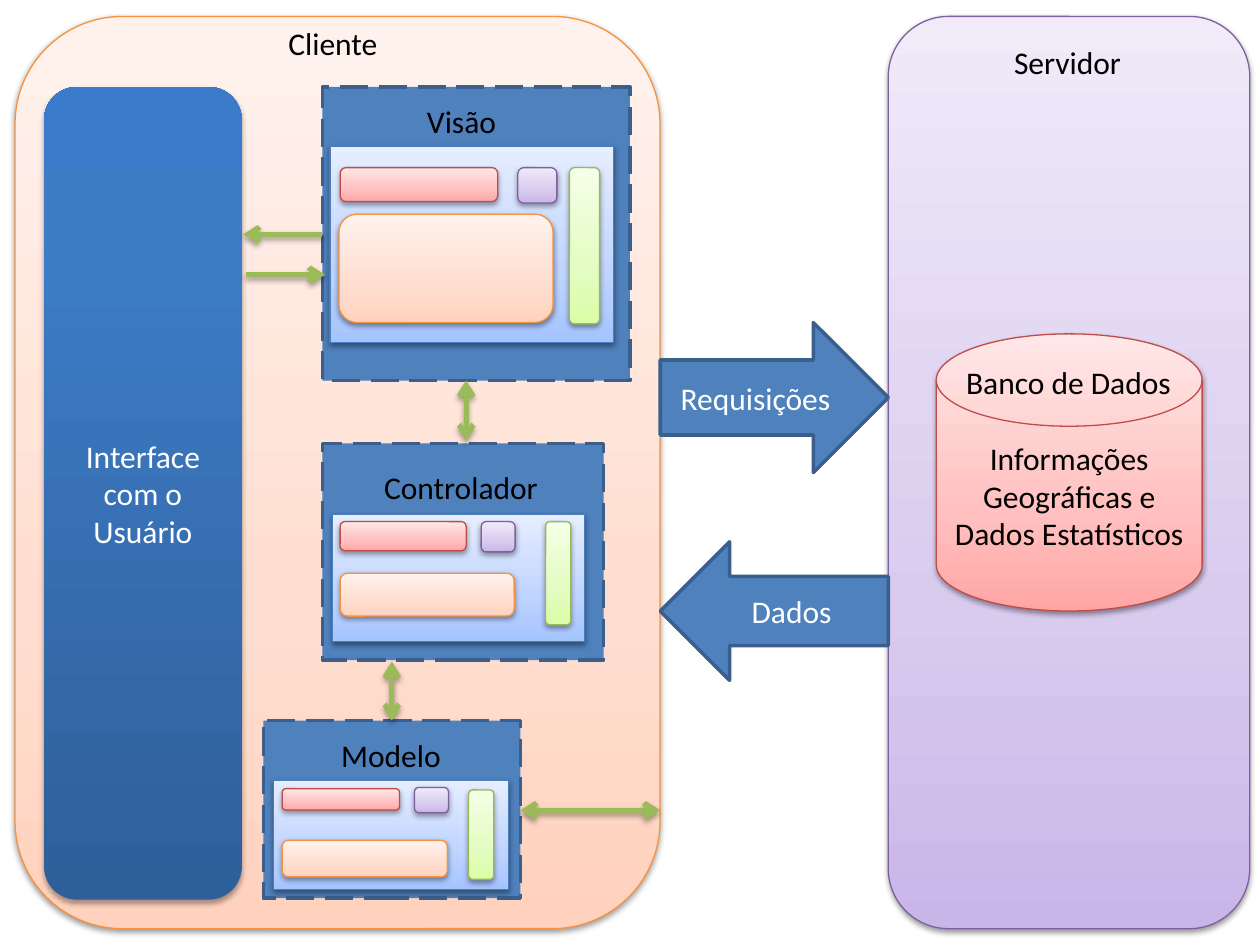
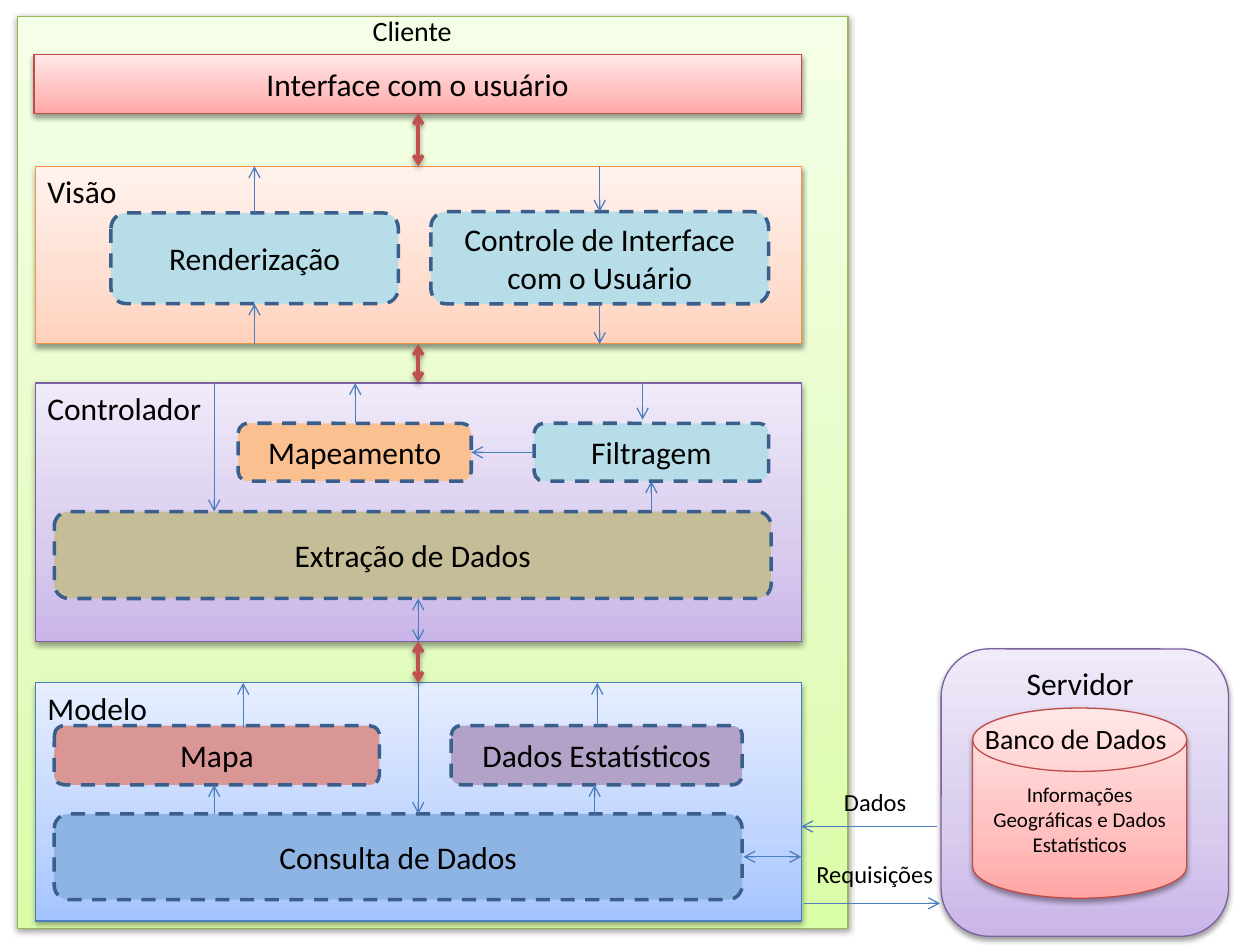
from copy import deepcopy

from pptx import Presentation, oxml
from pptx import util as u
from pptx.dml.color import RGBColor
from pptx.enum import dml, shapes, text
from pptx.oxml import ns

Pt = u.Pt
Geo = shapes.MSO_SHAPE


class Theme:
    font = "Calibri"
    body, caption, flow, detail = 18, 16, 14, 12
    black, white = "000000", "FFFFFF"
    blue, navy, thin_blue = "4F81BD", "3A5F8C", "4B7EBC"
    green_arrow, red_arrow = "9BBB59", "C0504D"
    aqua, rose, lilac = "B7DEE8", "D99694", "B3A2C7"
    sky, peach, khaki = "8EB4E3", "FAC090", "C4BD97"
    hairline, medium, thick = 0.75, 2, 3
    soft_shadow = (1.57, 38)
    deep_shadow = (1.81, 35)
    shadow_blur = 3.15
    orange_tint = (("FFD2BD", "FFDED0", "FFF2ED"), "F69240")
    purple_tint = (("C9B5E8", "D8CBEE", "F0EAF9"), "7D60A0")
    red_tint = (("FFA6A5", "FFC0BF", "FFE7E7"), "BF4C48")
    green_tint = (("DAFDA7", "E4FCC2", "F5FFE7"), "98B955")
    blue_tint = (("A4C4FF", "BFD4FF", "E6EEFF"), "4B7EBC")
    interface = (("2F5F99", "3D7CC7", "3A7CCB"), None)
    shadow_xml = (
        '<a:outerShdw %s blurRad="{}" dist="{}" dir="5400000" rotWithShape="0">'
        '<a:srgbClr val="000000"><a:alpha val="{}"/></a:srgbClr></a:outerShdw>'
        % ns.nsdecls("a")
    )


def box(slide, at, geometry=None, fill=None, words="", size=Theme.body,
        color=Theme.black, dash=None):
    place = [Pt(n) for n in at]
    if geometry is None:
        part = slide.shapes.add_textbox(*place)
    else:
        part = slide.shapes.add_shape(geometry, *place)
        part.shadow.inherit = False
        if isinstance(fill, tuple):
            stops, edge = fill
            part.fill.gradient()
            part.fill.gradient_angle = 90
            stop_list = part._element.spPr.find(".//" + ns.qn("a:gsLst"))
            stop_list.append(deepcopy(stop_list[0]))
            middle = 0.35 if edge else 0.8
            for stop, tint, position in zip(part.fill.gradient_stops, stops, (0, middle, 1)):
                stop.color.rgb = RGBColor.from_string(tint)
                stop.position = position
            distance, alpha = Theme.soft_shadow if edge else Theme.deep_shadow
            part._element.spPr.find(ns.qn("a:effectLst")).append(oxml.parse_xml(
                Theme.shadow_xml.format(Pt(Theme.shadow_blur), Pt(distance), alpha * 1000)))
            width = Theme.hairline
        else:
            part.fill.solid()
            part.fill.fore_color.rgb = RGBColor.from_string(fill)
            edge, width = Theme.navy, Theme.medium
        if edge:
            part.line.color.rgb = RGBColor.from_string(edge)
            part.line.width = Pt(width)
            if dash:
                part.line.dash_style = dash
        else:
            part.line.fill.background()
    if words:
        frame = part.text_frame
        frame.word_wrap = geometry is not None
        paragraph = frame.paragraphs[0]
        if geometry is None:
            frame.auto_size = text.MSO_AUTO_SIZE.SHAPE_TO_FIT_TEXT
        else:
            frame.vertical_anchor = text.MSO_ANCHOR.MIDDLE
            paragraph.alignment = text.PP_ALIGN.CENTER
        run = paragraph.add_run()
        run.text = words
        run.font.name = Theme.font
        run.font.size = Pt(size)
        run.font.color.rgb = RGBColor.from_string(color)


def arrow(slide, ends, color=Theme.thin_blue, width=Theme.hairline, both=False, shadow=None):
    link = slide.shapes.add_connector(shapes.MSO_CONNECTOR.STRAIGHT, *[Pt(n) for n in ends])
    link.line.color.rgb = RGBColor.from_string(color)
    link.line.width = Pt(width)
    properties = link._element.spPr
    outline = properties.find(ns.qn("a:ln"))
    for tag in ("a:headEnd", "a:tailEnd") if both else ("a:tailEnd",):
        outline.append(oxml.parse_xml('<%s %s type="arrow"/>' % (tag, ns.nsdecls("a"))))
    effects = oxml.parse_xml("<a:effectLst %s/>" % ns.nsdecls("a"))
    if shadow:
        distance, alpha = shadow
        effects.append(oxml.parse_xml(
            Theme.shadow_xml.format(Pt(Theme.shadow_blur), Pt(distance), alpha * 1000)))
    properties.append(effects)


deck = Presentation()
deck.slide_width, deck.slide_height = Pt(720), Pt(540)
blank = deck.slide_layouts[6]
stored_data = "Informações Geográficas e Dados Estatísticos"

overview = deck.slides.add_slide(blank)
box(overview, (8.6, 9.4, 368.6, 521.3), Geo.ROUNDED_RECTANGLE, Theme.orange_tint)
box(overview, (507.6, 9.4, 206.6, 521.3), Geo.ROUNDED_RECTANGLE, Theme.purple_tint)
box(overview, (535, 190.8, 151.9, 158.4), Geo.FLOWCHART_MAGNETIC_DISK, Theme.red_tint, stored_data)
box(overview, (25.2, 49.7, 113, 464.4), Geo.ROUNDED_RECTANGLE, Theme.interface,
    "Interface com o Usuário", color=Theme.white)
box(overview, (377.3, 184.3, 130.3, 85.7), Geo.RIGHT_ARROW, Theme.blue,
    "Requisições", color=Theme.white)
box(overview, (377.3, 309.6, 130.3, 79.2), Geo.LEFT_ARROW, Theme.blue,
    "Dados", color=Theme.white)
for label, at in (
    ("Cliente", (157.7, 10.1, 66.2, 28.8)),
    ("Servidor", (572.4, 20.9, 76.3, 28.8)),
    ("Banco de Dados", (545, 203.8, 133.2, 28.8)),
):
    box(overview, at, words=label)

components = (
    ("Visão", (184.3, 49.7, 175.7, 167.8), (236.9, 54.7, 54.7, 28.8),
     (188.6, 83.5, 162, 112.3),
     ((194.4, 95.8, 90, 19.4), (193.7, 122.4, 122.4, 61.9),
      (325.4, 95.8, 17.3, 89.3), (295.9, 95.8, 22.3, 20.2))),
    ("Controlador", (184.3, 253.4, 160.6, 123.8), (212.4, 264.2, 103, 28.8),
     (190.1, 293.8, 144, 72.7),
     ((194.4, 298.1, 72, 16.6), (194.4, 327.6, 99.4, 24.5),
      (311.8, 298.1, 14.4, 59), (275, 298.1, 19.4, 17.3))),
    ("Modelo", (150.5, 411.8, 146.9, 101.5), (187.9, 416.9, 72, 28.8),
     (156.2, 445.7, 134.6, 62.6),
     ((161.3, 450.7, 67, 12.2), (161.3, 480.2, 94.3, 20.9),
      (267.8, 451.4, 14.4, 51.1), (236.9, 450, 19.4, 14.4))),
)
widget_tints = (Theme.red_tint, Theme.orange_tint, Theme.green_tint, Theme.purple_tint)
for label, component, heading, window, widgets in components:
    box(overview, component, Geo.RECTANGLE, Theme.blue, dash=dml.MSO_LINE.LONG_DASH)
    box(overview, heading, words=label)
    box(overview, window, Geo.RECTANGLE, Theme.blue_tint)
    for widget, tint in zip(widgets, widget_tints):
        box(overview, widget, Geo.ROUNDED_RECTANGLE, tint)

for ends, both in (
    ((297.4, 463, 377.3, 463), True),
    ((223.9, 378, 223.9, 411.8), True),
    ((266.4, 217.4, 266.4, 252), True),
    ((184.3, 133.9, 139, 133.9), False),
    ((140.4, 157, 185.8, 157), False),
):
    arrow(overview, ends, Theme.green_arrow, Theme.thick, both, Theme.deep_shadow)

detail = deck.slides.add_slide(blank)
box(detail, (10.1, 9.4, 474.5, 521.3), Geo.RECTANGLE, Theme.green_tint)
box(detail, (19.4, 31, 438.5, 33.8), Geo.RECTANGLE, Theme.red_tint, "Interface com o usuário")
for label, top, height, tint, label_width in (
    ("Visão", 95, 101.5, Theme.orange_tint, 54.7),
    ("Controlador", 218.9, 147.6, Theme.purple_tint, 103),
    ("Modelo", 390.2, 136.1, Theme.blue_tint, 72),
):
    box(detail, (20.2, top, 437.8, height), Geo.RECTANGLE, tint)
    box(detail, (20, top, label_width, 28.8), words=label)

for label, at, color in (
    ("Renderização", (63.4, 121.7, 164.2, 51.8), Theme.aqua),
    ("Controle de Interface com o Usuário", (246.2, 121, 193, 52.6), Theme.aqua),
    ("Mapeamento", (136.1, 241.9, 133.2, 33.1), Theme.peach),
    ("Filtragem", (305.3, 241.9, 133.9, 33.1), Theme.aqua),
    ("Extração de Dados", (31, 292.3, 409.7, 49.7), Theme.khaki),
    ("Mapa", (31, 414.7, 185.8, 33.8), Theme.rose),
    ("Dados Estatísticos", (257.8, 414.7, 166.3, 33.8), Theme.lilac),
    ("Consulta de Dados", (31, 465.1, 393.1, 49), Theme.sky),
):
    box(detail, at, Geo.ROUNDED_RECTANGLE, color, label, dash=dml.MSO_LINE.DASH)

box(detail, (537.8, 370.8, 164.2, 164.2), Geo.ROUNDED_RECTANGLE, Theme.purple_tint)
box(detail, (555.8, 404.6, 122.4, 108.7), Geo.FLOWCHART_MAGNETIC_DISK, Theme.red_tint,
    stored_data, Theme.detail)
for label, at, size in (
    ("Cliente", (205.9, 4.3, 60.5, 26.6), Theme.caption),
    ("Servidor", (579.6, 375.8, 76.3, 28.8), Theme.body),
    ("Banco de Dados", (555.8, 409, 119.5, 26.6), Theme.caption),
    ("Requisições", (459.4, 487.4, 82.1, 24.5), Theme.flow),
    ("Dados", (475.2, 446.4, 50.4, 24.5), Theme.flow),
):
    box(detail, at, words=label, size=size)

axis = 239
for top, bottom in ((64.8, 95), (196.6, 218.9), (366.5, 390.2)):
    arrow(detail, (axis, top, axis, bottom), Theme.red_arrow, Theme.medium, True,
          Theme.soft_shadow)
for x, start, end in (
    (145.4, 121.7, 95), (342.7, 95, 121),
    (145.4, 196.6, 173.5), (342.7, 173.5, 196.6),
    (203, 241.9, 218.9), (367.2, 218.9, 239.8),
    (122.4, 218.9, 292.3), (372.2, 292.3, 275),
    (139, 416.2, 390.2), (341.3, 414.7, 390.2), (axis, 390.2, 465.1),
    (122.4, 465.1, 448.6), (339.8, 465.1, 448.6),
):
    arrow(detail, (x, start, x, end))
for y, start, end in ((258.5, 305.3, 269.3), (472.3, 535.7, 457.9), (516.2, 459.4, 537.1)):
    arrow(detail, (start, y, end, y))
for ends in ((axis, 366.5, axis, 342), (424.8, 489.6, 457.9, 489.6)):
    arrow(detail, ends, both=True)

deck.save("out.pptx")
